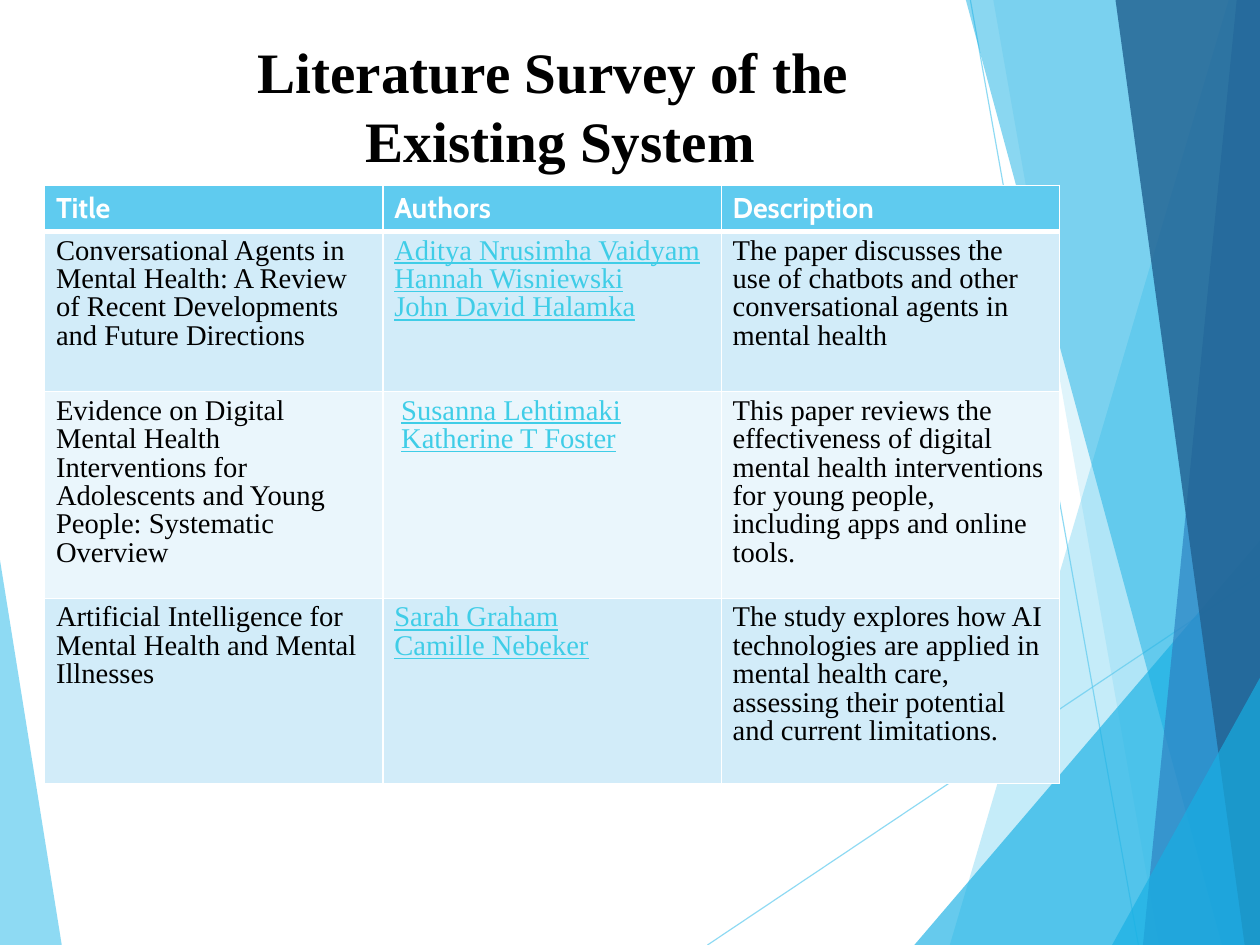
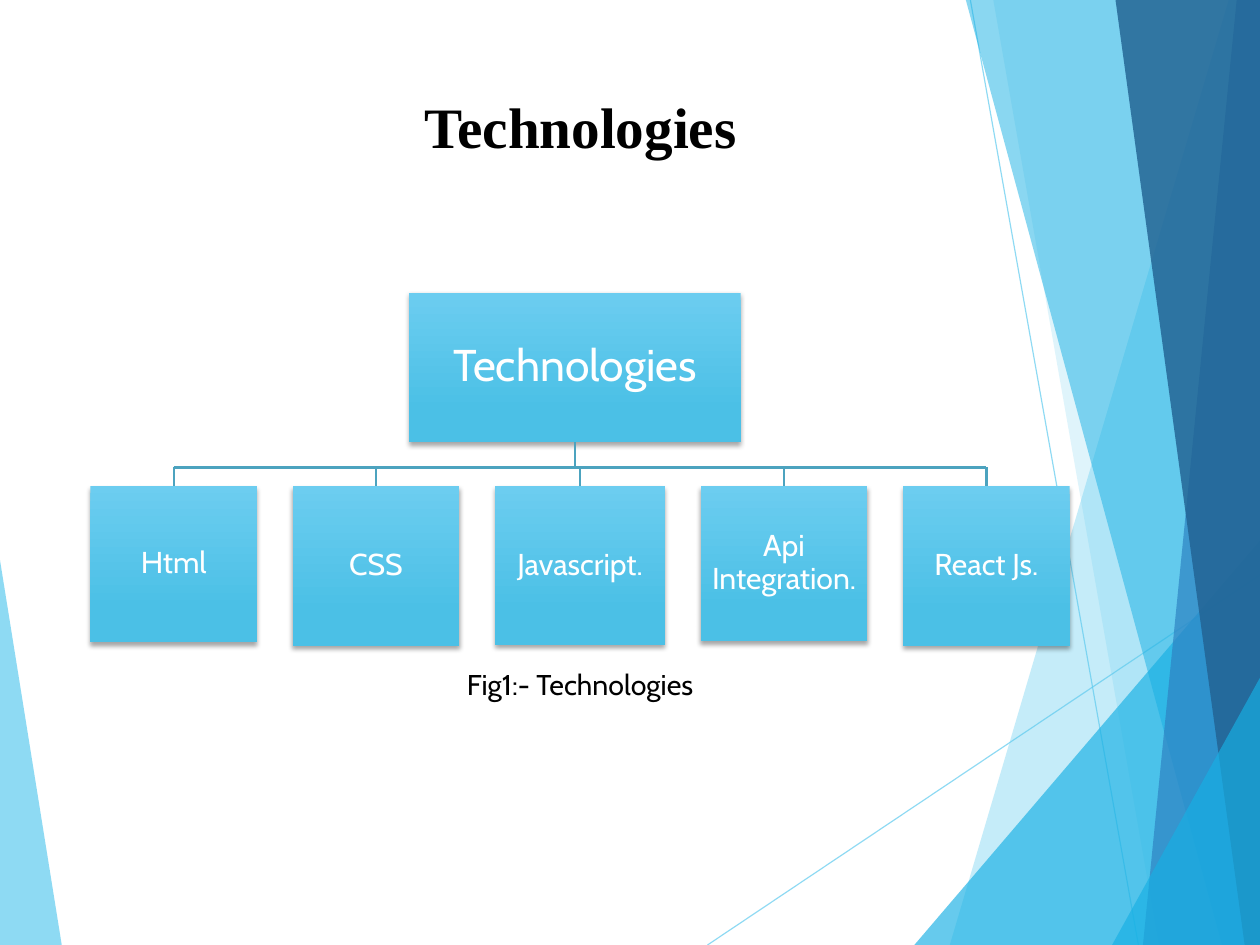
"""Build a literature survey table slide and a technologies chart slide."""
from lxml import etree
from pptx import Presentation
from pptx.dml import color as dml
from pptx.enum import shapes, text
from pptx.oxml import ns
from pptx import util as u

Inches = u.Inches
WIDTH, HEIGHT = 28 / 2.54, 21 / 2.54
COLORS = {
    "sky": "5FCBEF", "cyan": "17B0E4", "blue": "2E83C3", "navy": "226292",
    "band": "D2ECF9", "pale": "EAF6FC", "name": "3FCDE7", "branch": "4CA3BF",
    "box_top": "6CCDF0", "box_base": "4BC0E6", "white": "FFFFFF", "black": "000000",
}
SERIF, SANS = "Times New Roman", "Cabin"
TITLE = {"size": u.Pt(36), "name": SERIF, "bold": True}
HEADING = {"size": u.Pt(18), "name": SANS, "bold": True}
BODY = {"size": u.Pt(18), "name": SERIF, "bold": False}
LINKED = {**BODY, "underline": True}
CAPTION = {"size": u.Pt(18), "name": SANS}
ROOT_LABEL = {"size": u.Pt(28), "name": SANS}
LEAF_LABEL = {"size": u.Pt(19), "name": SANS}

LEFT_FACET = ("sky", 70, [(-0.01, 4.84), (0.54, HEIGHT), (-0.01, HEIGHT)])
RAYS = [((6.19, HEIGHT), (WIDTH, 5.03)), ((8.49, 0), (9.96, HEIGHT))]
RIGHT_FACETS = [
    ("sky", 36, [(10.75, 0), (8.31, HEIGHT), (WIDTH, HEIGHT), (WIDTH, 0)]),
    ("sky", 20, [(8.69, 0), (10.14, HEIGHT), (WIDTH, HEIGHT), (WIDTH, 0)]),
    ("cyan", 66, [(8, HEIGHT), (WIDTH, 4.73), (WIDTH, HEIGHT)]),
    ("cyan", 50, [(8.45, 0), (10.69, HEIGHT), (WIDTH, HEIGHT), (WIDTH, 0)]),
    ("blue", 70, [(10.82, 0), (10, HEIGHT), (WIDTH, HEIGHT), (WIDTH, 0)]),
    ("navy", 82, [(9.76, 0), (10.89, HEIGHT), (WIDTH, HEIGHT), (WIDTH, 0)]),
    ("cyan", 66, [(9.73, HEIGHT), (WIDTH, 5.93), (WIDTH, HEIGHT)]),
]

SURVEY_TITLE = ["Literature Survey of the", " Existing System"]
HEADINGS = ["Title", "Authors", "Description"]
PAPERS = [
    ("Conversational Agents in Mental Health: A Review of Recent Developments and Future Directions",
     ["Aditya Nrusimha Vaidyam", "Hannah Wisniewski", "John David Halamka"],
     "The paper discusses the use of chatbots and other conversational agents in mental health"),
    ("Evidence on Digital Mental Health Interventions for Adolescents and Young People: Systematic Overview",
     ["Susanna Lehtimaki", "Katherine T Foster"],
     "This paper reviews the effectiveness of digital mental health interventions for young people, "
     "including apps and online tools."),
    ("Artificial Intelligence for Mental Health and Mental Illnesses",
     ["Sarah Graham", "Camille Nebeker"],
     "The study explores how AI technologies are applied in mental health care, assessing their "
     "potential and current limitations."),
]
ROW_HEIGHTS = [0.39, 1.4, 1.81, 1.62]
COLUMN_WIDTH = 2.96
INDENTED_ROW, AUTHOR_INDENT = 2, 0.06

ROOT = ("Technologies", (3.58, 2.56, 2.9, 1.31))
LEAVES = [("Html", 1.46, 1.37), ("CSS", 1.46, 1.4), ("Javascript.", 1.49, 1.39),
          ("Api Integration.", 1.46, 1.36), ("React Js.", 1.46, 1.4)]
LEAF_LEFT, LEAF_TOP, LEAF_GAP, BUS_TOP = 0.79, 4.25, 0.31, 4.09


def rgb(key):
    return dml.RGBColor.from_string(COLORS[key])


def add_xml(parent, tag, **values):
    return etree.SubElement(parent, ns.qn(tag), {name: str(value) for name, value in values.items()})


def set_opacity(shape, percent):
    for tone in shape._element.spPr.iter(ns.qn("a:srgbClr")):
        add_xml(tone, "a:alpha", val=percent * 1000)


def write(frame, lines, style, ink, align=text.PP_ALIGN.LEFT, spacing=1.0, indent=0):
    frame.word_wrap = True
    for number, line in enumerate(lines):
        para = frame.add_paragraph() if number else frame.paragraphs[0]
        para.alignment, para.line_spacing = align, spacing
        if indent:
            para._p.get_or_add_pPr().set("marL", str(Inches(indent)))
        span = para.add_run()
        span.text = line
        for name, value in style.items():
            setattr(span.font, name, value)
        span.font.color.rgb = rgb(ink)


def add_text(page, at, lines, style, spacing=1.0, anchor=text.MSO_ANCHOR.TOP):
    box = page.shapes.add_textbox(*map(Inches, at))
    box.text_frame.vertical_anchor = anchor
    write(box.text_frame, lines, style, "black", text.PP_ALIGN.CENTER, spacing)


def add_line(page, start, end, ink, weight):
    line = page.shapes.add_connector(shapes.MSO_CONNECTOR.STRAIGHT, *map(Inches, (*start, *end)))
    line.line.color.rgb = rgb(ink)
    line.line.width = u.Pt(weight)
    add_xml(line._element.spPr, "a:effectLst")
    return line


def add_facet(page, ink, opacity, points):
    corners = [(Inches(x), Inches(y)) for x, y in points]
    builder = page.shapes.build_freeform(*corners[0])
    builder.add_line_segments(corners[1:], close=True)
    facet = builder.convert_to_shape()
    facet.shadow.inherit = False
    facet.fill.solid()
    facet.fill.fore_color.rgb = rgb(ink)
    facet.line.fill.background()
    set_opacity(facet, opacity)


def add_page(deck):
    page = deck.slides.add_slide(deck.slide_layouts[6])
    add_facet(page, *LEFT_FACET)
    for start, end in RAYS:
        set_opacity(add_line(page, start, end, "sky", 0.75), 70)
    for facet in RIGHT_FACETS:
        add_facet(page, *facet)
    return page


def style_cell(cell, fill, top=1, bottom=1):
    properties = cell._tc.get_or_add_tcPr()
    for side, weight in (("L", 1), ("R", 1), ("T", top), ("B", bottom)):
        border = add_xml(properties, f"a:ln{side}", w=u.Pt(weight))
        add_xml(add_xml(border, "a:solidFill"), "a:srgbClr", val=COLORS["white"])
    cell.fill.solid()
    cell.fill.fore_color.rgb = rgb(fill)


def add_survey(page):
    size = (COLUMN_WIDTH * len(HEADINGS), sum(ROW_HEIGHTS))
    table = page.shapes.add_table(len(ROW_HEIGHTS), len(HEADINGS),
                                  *map(Inches, (0.39, 1.62, *size))).table
    for column in table.columns:
        column.width = Inches(COLUMN_WIDTH)
    for row, height in zip(table.rows, ROW_HEIGHTS):
        row.height = Inches(height)
    for cell, heading in zip(table.rows[0].cells, HEADINGS):
        style_cell(cell, "sky", bottom=3)
        write(cell.text_frame, [heading], HEADING, "white")
    for number, (title, authors, description) in enumerate(PAPERS, 1):
        indent = AUTHOR_INDENT if number == INDENTED_ROW else 0
        contents = [([title], BODY, "black", 0), (authors, LINKED, "name", indent),
                    ([description], BODY, "black", 0)]
        for cell, (lines, style, ink, shift) in zip(table.rows[number].cells, contents):
            style_cell(cell, "band" if number % 2 else "pale", top=3 if number == 1 else 1)
            write(cell.text_frame, lines, style, ink, spacing=0.9, indent=shift)


def add_box(page, label, at, style):
    box = page.shapes.add_shape(shapes.MSO_SHAPE.RECTANGLE, *map(Inches, at))
    box.fill.gradient()
    box.fill.gradient_angle = 270
    for stop, place, ink in zip(box.fill.gradient_stops, (0, 0.78), ("box_top", "box_base")):
        stop.position, stop.color.rgb = place, rgb(ink)
    box.line.fill.background()
    box.shadow.inherit = False
    effects = box._element.spPr.find(ns.qn("a:effectLst"))
    shade = add_xml(effects, "a:outerShdw", blurRad=u.Pt(3), dist=u.Pt(2), dir=5400000, rotWithShape=0)
    add_xml(add_xml(shade, "a:srgbClr", val=COLORS["black"]), "a:alpha", val=35000)
    frame = box.text_frame
    for side in ("left", "top", "right", "bottom"):
        setattr(frame, f"margin_{side}", Inches(0.01))
    frame.vertical_anchor = text.MSO_ANCHOR.MIDDLE
    write(frame, [label], style, "white", text.PP_ALIGN.CENTER, 0.9)
    return box


def add_tree(page):
    label, at = ROOT
    root = add_box(page, label, at, ROOT_LABEL)
    center = at[0] + at[2] / 2
    trunk = add_line(page, (center, at[1] + at[3]), (center, BUS_TOP), "branch", 1.5)
    trunk.begin_connect(root, 2)
    left, centers = LEAF_LEFT, []
    for label, width, height in LEAVES:
        leaf = add_box(page, label, (left, LEAF_TOP, width, height), LEAF_LABEL)
        center = left + width / 2
        drop = add_line(page, (center, BUS_TOP), (center, LEAF_TOP), "branch", 1.5)
        drop.end_connect(leaf, 0)
        centers.append(center)
        left += width + LEAF_GAP
    add_line(page, (centers[0], BUS_TOP), (centers[-1], BUS_TOP), "branch", 1.5)


def main():
    deck = Presentation()
    deck.slide_width, deck.slide_height = Inches(WIDTH), Inches(HEIGHT)
    page = add_page(deck)
    add_survey(page)
    add_text(page, (-0.83, 0.27, 11.34, 1.31), SURVEY_TITLE, TITLE)
    page = add_page(deck)
    add_text(page, (0.12, 0.44, 9.92, 1.38), ["Technologies"], TITLE, 0.93, text.MSO_ANCHOR.MIDDLE)
    add_tree(page)
    add_text(page, (3.58, 5.79, 2.99, 0.4), ["Fig1:- Technologies"], CAPTION)
    deck.save("out.pptx")


if __name__ == "__main__":
    main()
